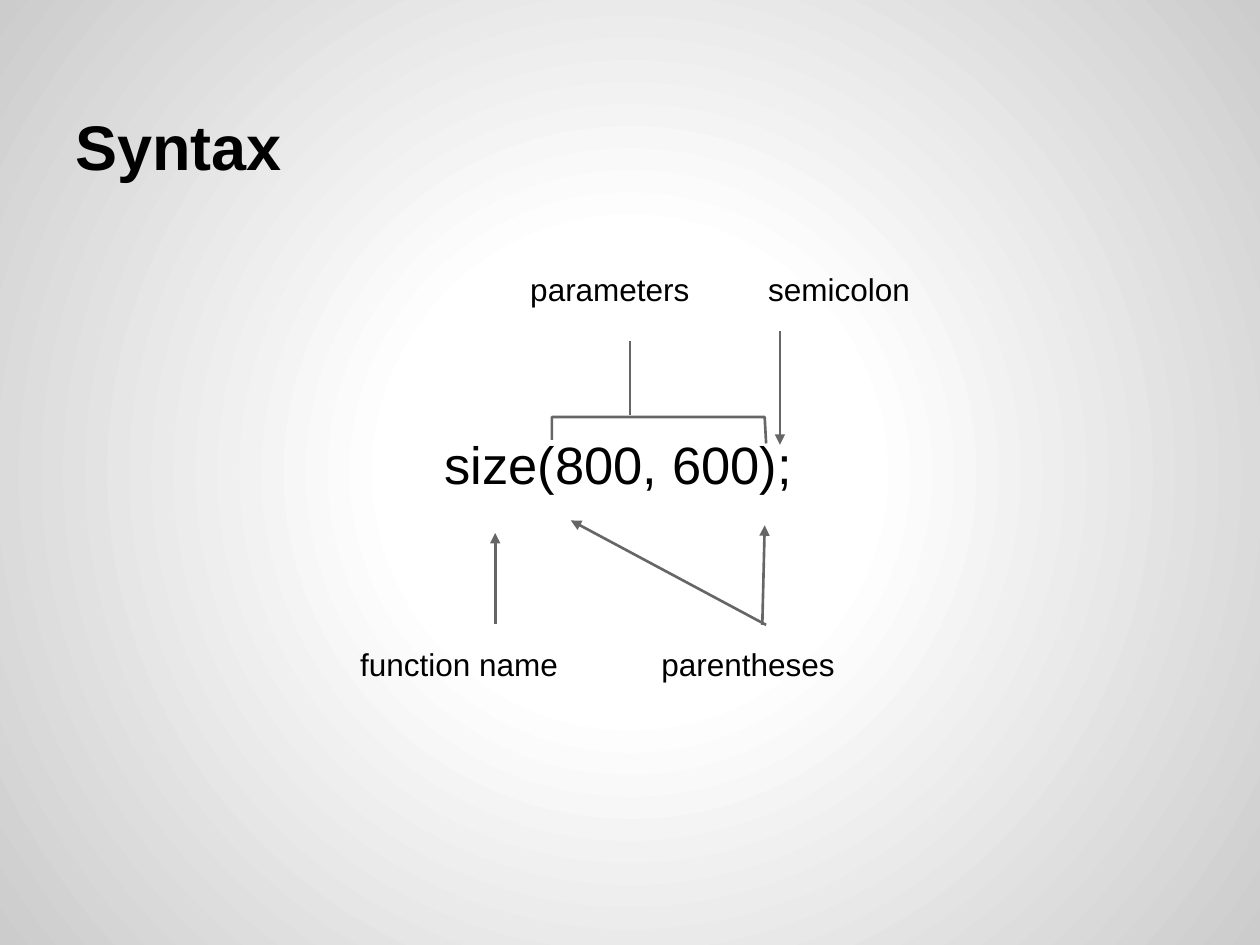
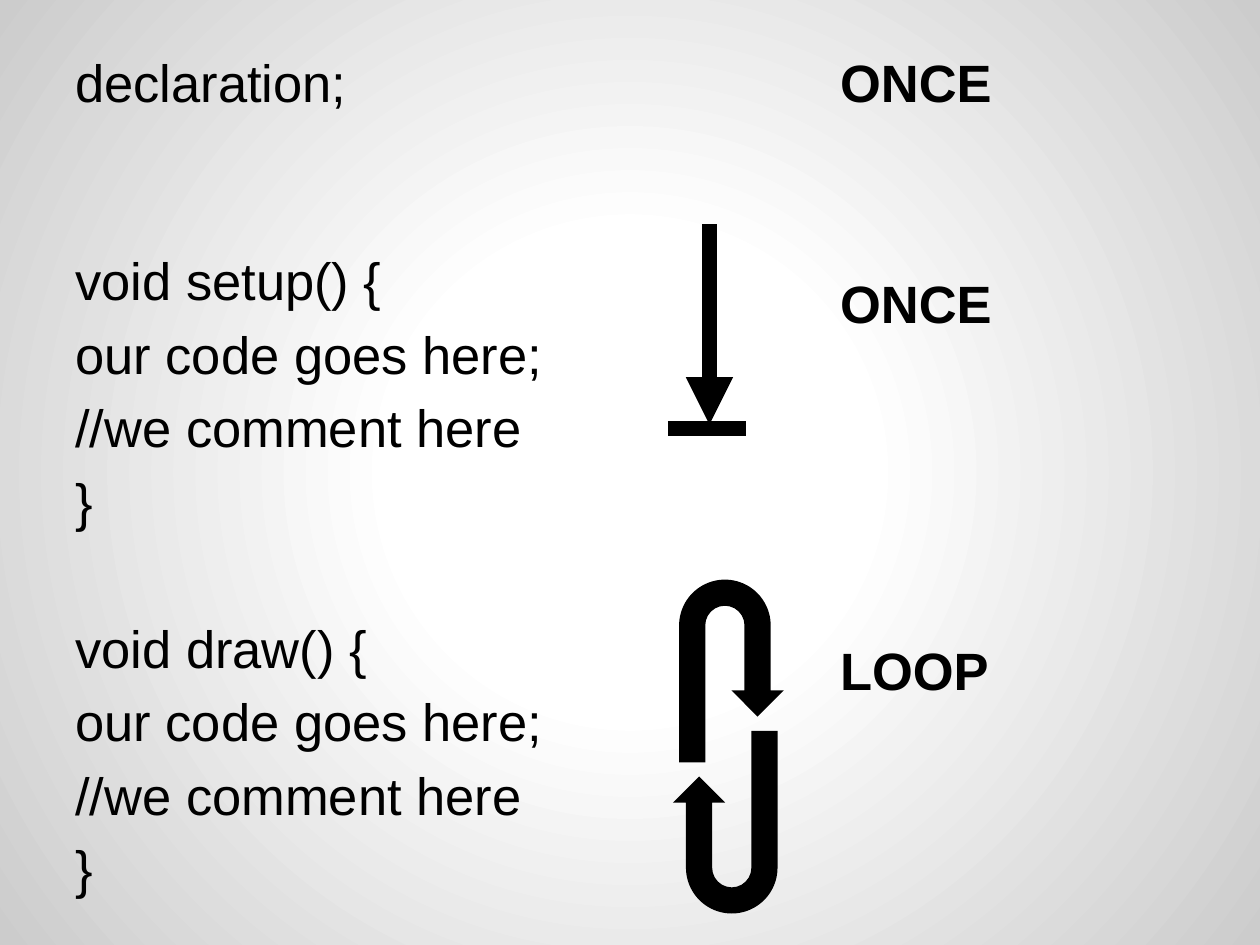
from lxml import etree
from pptx import Presentation
from pptx import util as u
from pptx.dml.color import RGBColor
from pptx.enum import shapes, text
from pptx.oxml import parse_xml
from pptx.oxml.ns import qn

HUES = {"ink": "000000", "line": "666666", "core": "FFFFFF", "edge": "CCCCCC"}
FONT = "Arial"
BIG = 30
SMALL = 18
INSET = 7.2
LEFT = 36
TOP = 21.6
PITCH = 42
BODY = ["our code goes here;", "//we comment here", "}"]


def hue(name):
    return RGBColor.from_string(HUES[name])


def pts(*nums):
    return [u.Pt(n) for n in nums]


def backdrop(master):
    fill = master.background.fill
    fill.gradient()
    old = next(master.element.iter(qn("a:gradFill")))
    stops = "".join(
        f'<a:gs pos="{pos}"><a:srgbClr val="{HUES[name]}"/></a:gs>'
        for pos, name in ((0, "core"), (30000, "core"), (100000, "edge")))
    new = parse_xml(
        '<a:gradFill xmlns:a="http://schemas.openxmlformats.org/drawingml/2006/main">'
        f'<a:gsLst>{stops}</a:gsLst><a:path path="circle">'
        '<a:fillToRect l="50000" t="50000" r="50000" b="50000"/>'
        '</a:path></a:gradFill>')
    old.getparent().replace(old, new)


def write(slide, lines, area, size=BIG, bold=False, anchor="TOP", align="LEFT"):
    frame = slide.shapes.add_textbox(*pts(*area)).text_frame
    frame.word_wrap = True
    frame.vertical_anchor = text.MSO_ANCHOR[anchor]
    for side in ("left", "top", "right", "bottom"):
        setattr(frame, f"margin_{side}", u.Pt(INSET))
    frame.text = "\n".join(lines)
    for i, para in enumerate(frame.paragraphs):
        para.alignment = text.PP_ALIGN[align]
        para.space_before = u.Pt(6 if i else 0)
        for run in para.runs:
            run.font.name = FONT
            run.font.size = u.Pt(size)
            run.font.bold = bold
            run.font.color.rgb = hue("ink")


def label(slide, word, x, y, high=38.9, **style):
    write(slide, [word], (x, y, 131, high), SMALL, **style)


def link(slide, start, end, tip=True, color="line", width=1.5):
    line = slide.shapes.add_connector(
        shapes.MSO_CONNECTOR.STRAIGHT, *pts(*start, *end))
    line.line.color.rgb = hue(color)
    line.line.width = u.Pt(width)
    if tip:
        etree.SubElement(line.line._get_or_add_ln(), qn("a:tailEnd"), type="triangle")
    etree.SubElement(line._element.spPr, qn("a:effectLst"))


def bracket(slide, first, *rest):
    pen = slide.shapes.build_freeform(*pts(*first))
    pen.add_line_segments([pts(*spot) for spot in rest], close=False)
    shape = pen.convert_to_shape()
    shape.shadow.inherit = False
    shape.fill.background()
    shape.line.color.rgb = hue("line")
    shape.line.width = u.Pt(1.5)


def uturn(slide, x, y, turn=0):
    shape = slide.shapes.add_shape(
        shapes.MSO_SHAPE.U_TURN_ARROW, *pts(x, y, 59.8, 104.4))
    shape.rotation = turn
    shape.shadow.inherit = False
    shape.fill.solid()
    shape.fill.fore_color.rgb = hue("ink")
    shape.line.fill.background()


def syntax(slide):
    write(slide, ["Syntax"], (LEFT, TOP, 648, 90), 36, True, "BOTTOM")
    write(slide, ["size(800, 600);"], (247, 239.8, 225.4, 59.8))
    label(slide, "function name", 198.7, 361.4)
    label(slide, "parentheses", 370.8, 361.4)
    label(slide, "parameters", 283, 145.4, anchor="MIDDLE", align="CENTER")
    label(slide, "semicolon", 414, 139, 51.8, anchor="MIDDLE", align="CENTER")
    link(slide, (283, 356.4), (283, 304.6))
    link(slide, (445.7, 189.4), (445.7, 254.2))
    bracket(slide, (315.4, 251.3), (315.4, 238.3), (437, 238.3), (437.8, 253.4))
    link(slide, (360, 195.1), (360, 236.9), tip=False)
    link(slide, (435.6, 357.1), (437, 300.2))
    link(slide, (437.8, 357.1), (326.2, 297.4))


def flow(slide):
    write(slide, ["declaration;"], (LEFT, TOP, 410, 50))
    for i, name in enumerate(("setup", "draw")):
        area = (LEFT, 134.6 + i * 5 * PITCH, 340, 4 * PITCH + 2 * INSET)
        write(slide, [f"void {name}() {{"] + BODY, area)
    for row, word in ((0, "ONCE"), (3, "ONCE"), (8, "LOOP")):
        write(slide, [word], (473, TOP + row * PITCH, 185.8, 50), bold=True)
    link(slide, (405.4, 128.2), (405.4, 242.6), color="ink", width=9)
    link(slide, (381.6, 244.8), (426.2, 244.8), False, "ink", 9)
    uturn(slide, 388.1, 331.2)
    uturn(slide, 384.5, 417.6, 180)


def main():
    prs = Presentation()
    prs.slide_width, prs.slide_height = pts(720, 540)
    backdrop(prs.slide_master)
    for draw in (syntax, flow):
        draw(prs.slides.add_slide(prs.slide_layouts[6]))
    prs.save("out.pptx")


if __name__ == "__main__":
    main()
